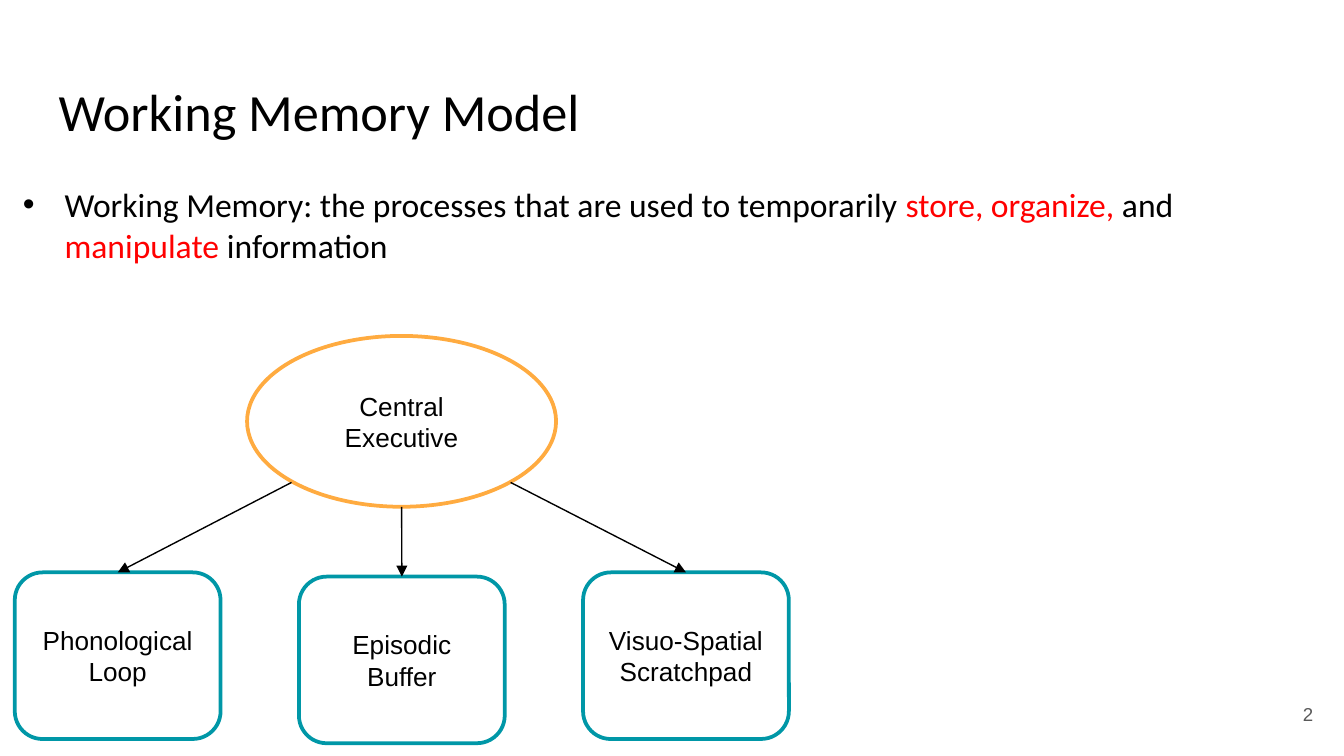
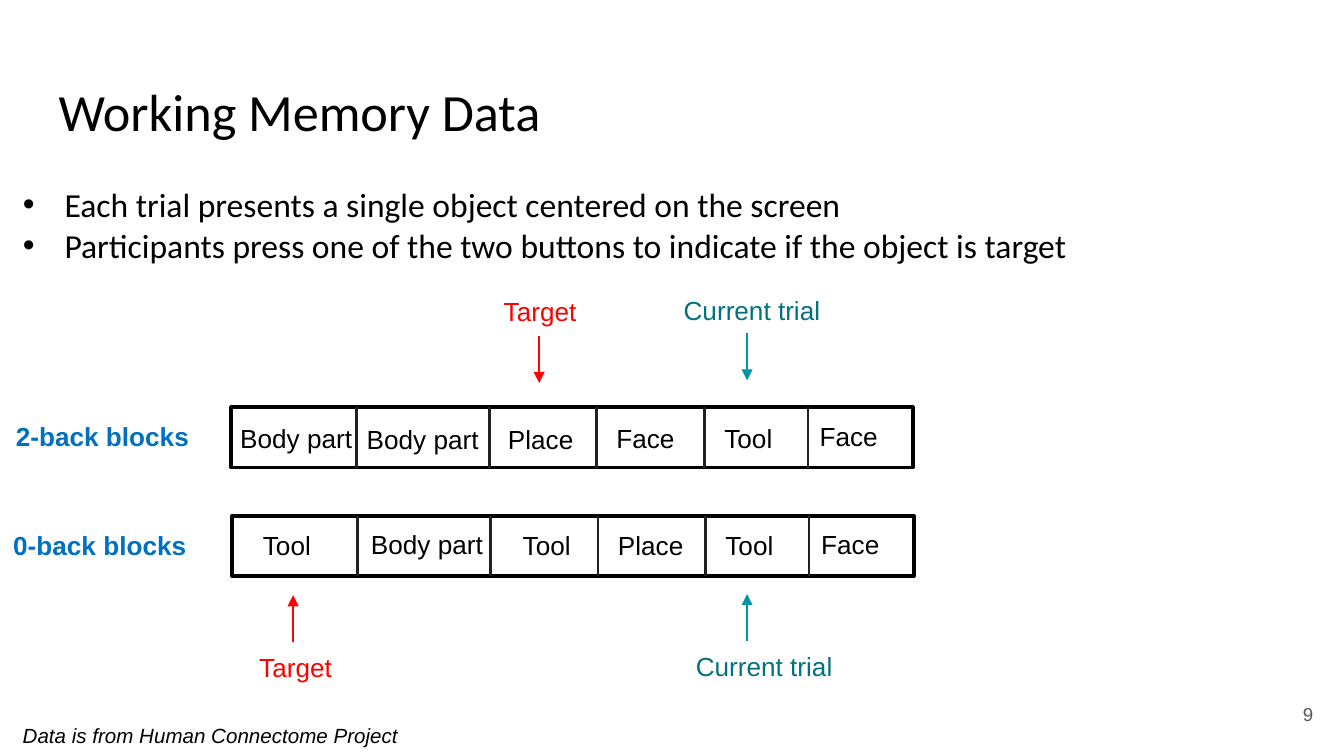
"""Build two slides on working memory: its model and its trial data."""
import pptx
import pptx.dml.color
import pptx.enum.shapes
import pptx.enum.text
import pptx.oxml.ns
import pptx.util
from lxml import etree

Cm = pptx.util.Cm
Pt = pptx.util.Pt
rgb = pptx.dml.color.RGBColor.from_string
qn = pptx.oxml.ns.qn
SHAPE = pptx.enum.shapes.MSO_SHAPE
ALIGN = pptx.enum.text.PP_ALIGN
ANCHOR = pptx.enum.text.MSO_ANCHOR

BLACK, WHITE, RED, GREY = "000000", "FFFFFF", "FF0000", "595959"
ORANGE, TEAL, ARROW_TEAL, DARK_TEAL = "FFAB40", "0097A7", "0094A3", "00717D"
BLUE, DIVIDER = "0070C0", "202020"


def write(box, lines, size=14, name="Arial", align=ALIGN.LEFT, anchor=ANCHOR.TOP,
          inset=0.13, **style):
    """Fill a box with paragraphs, each a list of (text, colour) spans."""
    frame = box.text_frame
    settings = {"word_wrap": True, "auto_size": pptx.enum.text.MSO_AUTO_SIZE.NONE,
                "vertical_anchor": anchor, "margin_left": Cm(0.25), "margin_right": Cm(0.25),
                "margin_top": Cm(inset), "margin_bottom": Cm(inset)}
    for key, value in settings.items():
        setattr(frame, key, value)
    for number, line in enumerate(lines):
        para = frame.add_paragraph() if number else frame.paragraphs[0]
        for key, value in {"alignment": align, "space_before": Pt(0)}.items():
            setattr(para, key, value)
        for text, colour in line:
            span = para.add_run()
            span.text = text
            span.font.color.rgb = rgb(colour)
            for key, value in {"size": Pt(size), "name": name, **style}.items():
                setattr(span.font, key, value)


def draw_line(page, start, end, colour, width=0.75, arrow=True):
    """Draw a straight line between two (x, y) points in centimetres."""
    line = page.shapes.add_connector(pptx.enum.shapes.MSO_CONNECTOR.STRAIGHT,
                                     *map(Cm, start + end))
    line.line.color.rgb = rgb(colour)
    line.line.width = Pt(width)
    properties = line.element.spPr
    if arrow:
        etree.SubElement(properties.find(qn("a:ln")), qn("a:tailEnd"), type="triangle")
    etree.SubElement(properties, qn("a:effectLst"))
    return line


deck = pptx.Presentation()
deck.slide_width, deck.slide_height = Cm(25.4), Cm(14.29)

slides = [
    ("Working Memory Model", "2", 2.39, [
        [("Working Memory: the processes that are used to temporarily ", BLACK),
         ("store, organize,", RED), (" and ", BLACK), ("manipulate", RED),
         (" information", BLACK)]]),
    ("Working Memory Data", "9", 1.8, [
        [("Each trial presents a single object centered on the screen", BLACK)],
        [("Participants press one of the two buttons to indicate if the object is target",
          BLACK)]]),
]
pages = []
for heading, number, list_height, points in slides:
    page = deck.slides.add_slide(deck.slide_layouts[1])
    pages.append(page)
    title, body = page.shapes.title, page.placeholders[1]
    number_box = page.shapes.add_textbox(Cm(23.55), Cm(12.95), Cm(1.52), Cm(1.09))
    for box, place in ((title, (0.86, 1.24, 23.67, 1.6)),
                       (body, (0.18, 3.35, 23.67, list_height))):
        for key, value in zip(("left", "top", "width", "height"), place):
            setattr(box, key, Cm(value))
    write(title, [[(heading, BLACK)]], 28, "Calibri", inset=0.25)
    write(body, points, 18, "Calibri")
    for para in body.text_frame.paragraphs:
        for key, value in {"marL": Cm(0.79), "indent": -Cm(0.79)}.items():
            para._p.get_or_add_pPr().set(key, str(value))
    write(number_box, [[(number, GREY)]], 10, align=ALIGN.RIGHT, anchor=ANCHOR.MIDDLE,
          inset=0.25)
model, data = pages

nodes = [
    (SHAPE.OVAL, (4.67, 6.35, 5.84, 3.23), ORANGE, ["Central Executive"], None),
    (SHAPE.ROUNDED_RECTANGLE, (0.28, 10.82, 3.89, 3.15), TEAL,
     ["Phonological Loop"], (5.51, 9.12)),
    (SHAPE.ROUNDED_RECTANGLE, (5.65, 10.9, 3.89, 3.15), TEAL,
     ["Episodic Buffer"], (7.59, 9.58)),
    (SHAPE.ROUNDED_RECTANGLE, (11.02, 10.82, 3.89, 3.15), TEAL,
     ["Visuo-Spatial", "Scratchpad"], (9.65, 9.12)),
]
for kind, place, colour, labels, arrow_start in nodes:
    node = model.shapes.add_shape(kind, *map(Cm, place))
    node.shadow.inherit = False
    node.fill.solid()
    node.fill.fore_color.rgb = rgb(WHITE)
    node.line.color.rgb = rgb(colour)
    node.line.width = Pt(2)
    write(node, [[(label, BLACK)] for label in labels], align=ALIGN.CENTER,
          anchor=ANCHOR.MIDDLE)
    if arrow_start:
        left, top, width, height = place
        arrow = draw_line(model, arrow_start, (left + width / 2, top), BLACK)
        arrow.end_connect(node, 0)

blocks = [
    ("2-back blocks", 0.05, 4.37, 7.7, [
        ("Body part", 4.29, 7.85), ("Body part", 6.68, 7.87), ("Place", 9.35, 7.87),
        ("Face", 11.4, 7.85), ("Tool", 13.44, 7.85), ("Face", 15.24, 7.82)]),
    ("0-back blocks", 0, 4.39, 9.75, [
        ("Tool", 4.72, 9.88), ("Body part", 6.76, 9.86), ("Tool", 9.63, 9.88),
        ("Place", 11.43, 9.88), ("Tool", 13.46, 9.88), ("Face", 15.27, 9.86)]),
]
trial_widths = {"Body part": 2.74, "Place": 2.39, "Tool": 1.7, "Face": 1.7}
for name, name_left, left, top, trials in blocks:
    name_box = data.shapes.add_textbox(Cm(name_left), Cm(top + 0.12), Cm(3.94), Cm(0.86))
    write(name_box, [[(name, BLUE)]], bold=True)
    strip = data.shapes.add_shape(SHAPE.RECTANGLE, Cm(left), Cm(top), Cm(12.88), Cm(1.14))
    strip.shadow.inherit = False
    strip.fill.solid()
    strip.fill.fore_color.rgb = rgb(WHITE)
    strip.line.color.rgb = rgb(BLACK)
    strip.line.width = Pt(2)
    for offset in (2.36, 4.88, 6.91, 8.94, 10.9):
        draw_line(data, (left + offset, top), (left + offset, top + 1.14), DIVIDER, 1.5, False)
    for trial, trial_left, trial_top in trials:
        trial_box = data.shapes.add_textbox(Cm(trial_left), Cm(trial_top),
                                            Cm(trial_widths[trial]), Cm(0.86))
        write(trial_box, [[(trial, BLACK)]])

markers = [
    ("Target", 9.27, 5.46, RED, RED, 10.19, 6.35, 7.24),
    ("Current trial", 12.67, 5.44, DARK_TEAL, ARROW_TEAL, 14.12, 6.3, 7.19),
    ("Target", 4.65, 12.19, RED, RED, 5.54, 12.14, 11.25),
    ("Current trial", 12.9, 12.17, DARK_TEAL, ARROW_TEAL, 14.12, 12.12, 11.23),
]
for label, left, top, colour, arrow_colour, x, start, end in markers:
    label_box = data.shapes.add_textbox(Cm(left), Cm(top), Cm(3.38), Cm(0.86))
    write(label_box, [[(label, colour)]])
    draw_line(data, (x, start), (x, end), arrow_colour)

credit = data.shapes.add_textbox(Cm(0.18), Cm(13.54), Cm(12.88), Cm(0.74))
write(credit, [[("Data is from Human Connectome Project", BLACK)]], 11, italic=True)

deck.save("out.pptx")
